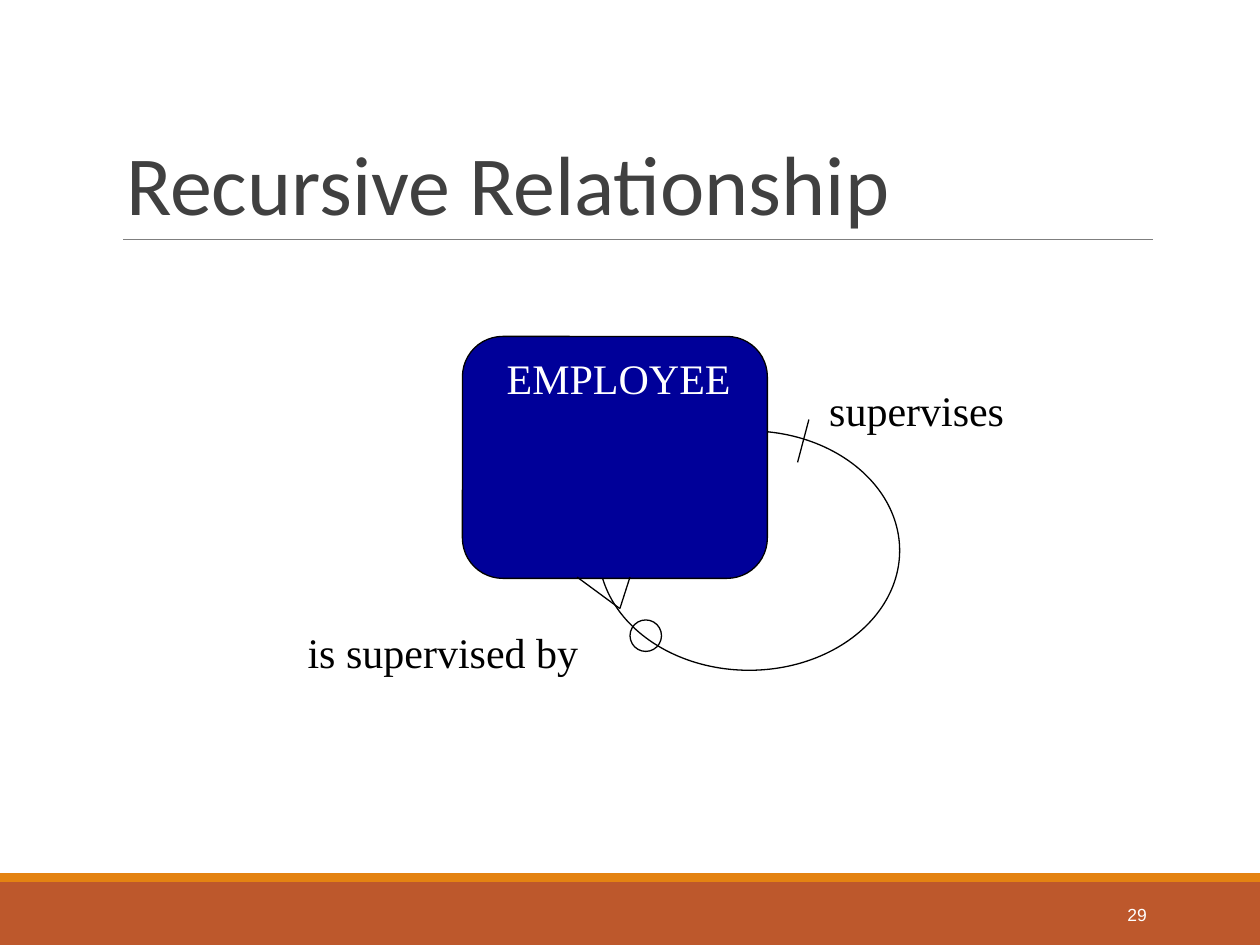
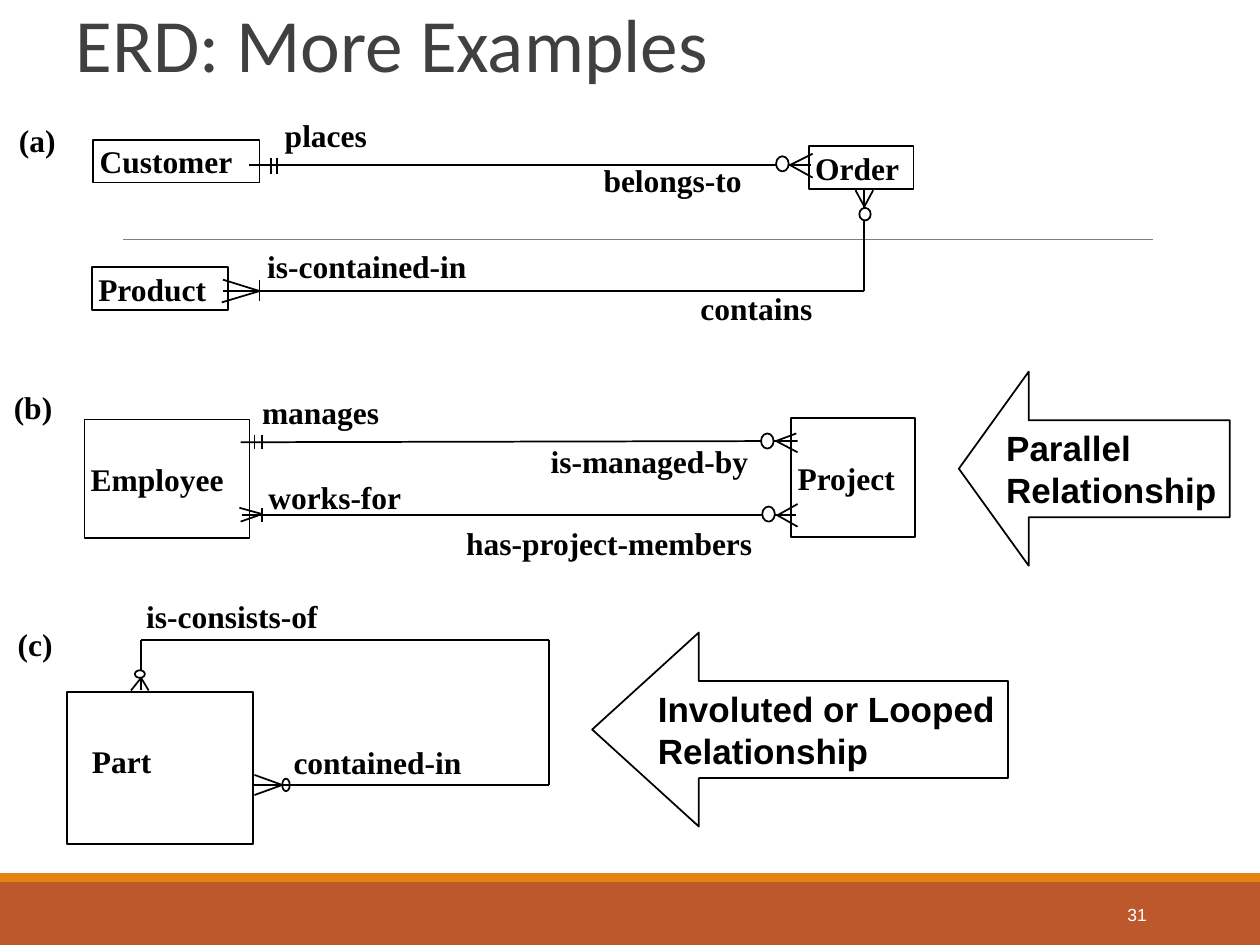
from itertools import pairwise

from lxml import etree
from pptx import Presentation
from pptx.dml.color import RGBColor
from pptx.enum.shapes import MSO_CONNECTOR, MSO_SHAPE
from pptx.enum.text import MSO_ANCHOR, MSO_AUTO_SIZE, PP_ALIGN
from pptx.oxml.ns import qn
from pptx.util import Inches, Pt

RECT, ROUNDED = MSO_SHAPE.RECTANGLE, MSO_SHAPE.ROUNDED_RECTANGLE
OVAL, LEFT_ARROW = MSO_SHAPE.OVAL, MSO_SHAPE.LEFT_ARROW
STRAIGHT = MSO_CONNECTOR.STRAIGHT
LEFT, CENTER, RIGHT = PP_ALIGN.LEFT, PP_ALIGN.CENTER, PP_ALIGN.RIGHT
TOP, MIDDLE, BOTTOM = MSO_ANCHOR.TOP, MSO_ANCHOR.MIDDLE, MSO_ANCHOR.BOTTOM

BLACK, WHITE, GRAY, TITLE_GRAY = "000000", "FFFFFF", "7F7F7F", "404040"
RUST, ORANGE, NAVY = "BD582C", "E48312", "000099"
SERIF, SANS, TITLE_FONT = "Times New Roman", "Arial", "Calibri"


def paint(shape, fill=None, line=None, width=1):
    """Set fill and outline from hex colours; None leaves that part empty."""
    if shape.shape_type is not None and hasattr(shape, "fill"):
        shape.shadow.inherit = False
        if fill:
            shape.fill.solid()
            shape.fill.fore_color.rgb = RGBColor.from_string(fill)
        else:
            shape.fill.background()
    else:
        etree.SubElement(shape.line._get_or_add_ln().getparent(), qn("a:effectLst"))
    if line:
        shape.line.color.rgb = RGBColor.from_string(line)
        shape.line.width = Pt(width)
    else:
        shape.line.fill.background()


def write(shape, text, size=18, font=SERIF, color=BLACK, bold=False, align=LEFT,
          anchor=TOP, inset=(0.05, 0.02), wrap=False, spacing=None):
    frame = shape.text_frame
    frame.text = text
    frame.auto_size = MSO_AUTO_SIZE.NONE
    frame.word_wrap = wrap
    frame.vertical_anchor = anchor
    frame.margin_left = frame.margin_right = Inches(inset[0])
    frame.margin_top = frame.margin_bottom = Inches(inset[1])
    for paragraph in frame.paragraphs:
        paragraph.alignment = align
        paragraph.line_spacing = spacing
        paragraph.font.size = Pt(size)
        paragraph.font.name = font
        paragraph.font.bold = bold
        paragraph.font.color.rgb = RGBColor.from_string(color)


prs = Presentation()
prs.slide_width, prs.slide_height = Inches(10), Inches(7.5)
WIDE_INSET = (0.1, 0.05)

# Title, rule, bands and number of both slides
slides = []
for title, size, title_box, number in [
    ("Recursive Relationship", 48, (0.9, 0.31, 8.25, 1.59), "29"),
    ("ERD: More Examples", 43, (0.5, 0.17, 9, 0.58), "31"),
]:
    slide = prs.slides.add_slide(prs.slide_layouts[5])
    slides.append(slide)
    heading = slide.shapes.title
    heading.left, heading.top, heading.width, heading.height = map(Inches, title_box)
    write(heading, title, size=size, font=TITLE_FONT, color=TITLE_GRAY, anchor=BOTTOM,
          inset=WIDE_INSET, wrap=True, spacing=0.85)
    for top, height, color in [(7, 0.5, RUST), (6.93, 0.07, ORANGE)]:
        band = slide.shapes.add_shape(RECT, 0, Inches(top), prs.slide_width, Inches(height))
        paint(band, fill=color)
    rule = slide.shapes.add_connector(STRAIGHT, *map(Inches, (0.98, 1.9, 9.15, 1.9)))
    paint(rule, line=GRAY, width=0.5)
    page = slide.shapes.add_textbox(*map(Inches, (8.12, 7.06, 1.08, 0.4)))
    write(page, number, size=10, font=SANS, color=WHITE, align=RIGHT, anchor=MIDDLE,
          inset=WIDE_INSET, wrap=True)

recursive, examples = (slide.shapes for slide in slides)

# Recursive relationship: the entity covers part of its loop
for kind, box, fill in [
    (OVAL, (4.75, 3.42, 2.39, 1.9), None),
    (ROUNDED, (3.67, 2.67, 2.42, 1.92), NAVY),
    (OVAL, (5, 4.92, 0.25, 0.25), None),
]:
    paint(recursive.add_shape(kind, *map(Inches, box)), fill=fill, line=BLACK, width=0.75)

for text, left, top, width, color in [
    ("EMPLOYEE", 3.92, 2.75, 1.98, WHITE),
    ("supervises", 6.48, 3, 1.59, BLACK),
    ("is supervised by", 2.34, 4.92, 2.35, BLACK),
]:
    label = recursive.add_textbox(*map(Inches, (left, top, width, 0.5)))
    write(label, text, size=24, color=color, align=CENTER, inset=WIDE_INSET)

# Entities of the three examples
for text, box in [
    ("Customer", (0.74, 1.11, 1.32, 0.34)),
    ("Order", (6.42, 1.16, 0.83, 0.34)),
    ("Product", (0.73, 2.12, 1.08, 0.34)),
    ("Employee", (0.67, 3.33, 1.31, 0.94)),
    ("Project", (6.28, 3.32, 0.98, 0.94)),
    ("", (0.53, 5.49, 1.48, 1.21)),
]:
    entity = examples.add_shape(RECT, *map(Inches, box))
    paint(entity, line=BLACK)
    if text:
        write(entity, text, bold=True, anchor=MIDDLE)

# Relationship lines, crow's feet and bars, each a path of points
recursive_paths = [
    [(4.58, 4.58), (4.92, 4.83), (5, 4.58)],
    [(6.33, 3.67), (6.42, 3.33)],
]
customer_order = [
    [(1.98, 1.31), (6.44, 1.31)],
    [(6.45, 1.22), (6.27, 1.31), (6.45, 1.41)],
    [(2.15, 1.25), (2.15, 1.38)],
    [(2.2, 1.25), (2.2, 1.38)],
]
product_order = [
    [(1.77, 2.31), (6.86, 2.31), (6.86, 1.51)],
    [(1.77, 2.22), (2.06, 2.31), (1.76, 2.4)],
    [(2.06, 2.22), (2.06, 2.39)],
    [(6.79, 1.51), (6.86, 1.64), (6.93, 1.51)],
]
manages = [
    [(1.91, 3.51), (6.33, 3.5)],
    [(6.32, 3.44), (6.16, 3.5), (6.33, 3.59)],
    [(2.02, 3.45), (2.02, 3.56)],
    [(2.08, 3.45), (2.08, 3.56)],
]
works_for = [
    [(1.92, 4.09), (6.32, 4.09)],
    [(6.33, 4), (6.17, 4.09), (6.33, 4.18)],
    [(1.9, 4.03), (2.08, 4.08), (1.91, 4.14)],
    [(2.08, 4.03), (2.08, 4.14)],
]
part_loop = [
    [(1.12, 5.48), (1.12, 5.08), (4.36, 5.08), (4.36, 6.23), (2.02, 6.23)],
    [(2.02, 6.15), (2.24, 6.23), (2.02, 6.31)],
    [(1.04, 5.48), (1.12, 5.38), (1.18, 5.48)],
]
example_paths = customer_order + product_order + manages + works_for + part_loop
for shapes, paths, width in [(recursive, recursive_paths, 0.75), (examples, example_paths, 1)]:
    for path in paths:
        for start, end in pairwise(path):
            segment = shapes.add_connector(STRAIGHT, *map(Inches, start + end))
            paint(segment, line=BLACK, width=width)

# Circles for optional ends
for box, fill in [
    ((6.16, 1.24, 0.1, 0.12), WHITE),
    ((6.82, 1.65, 0.09, 0.1), WHITE),
    ((6.04, 3.44, 0.1, 0.12), WHITE),
    ((6.05, 4.02, 0.1, 0.12), WHITE),
    ((1.07, 5.32, 0.08, 0.06), WHITE),
    ((2.24, 6.18, 0.06, 0.1), None),
]:
    paint(examples.add_shape(OVAL, *map(Inches, box)), fill=fill, line=BLACK)

for text, left, top, width in [
    ("(a)", 0.1, 0.94, 0.42),
    ("places", 2.21, 0.9, 0.88),
    ("belongs-to", 4.74, 1.26, 1.43),
    ("is-contained-in", 2.07, 1.94, 1.95),
    ("contains", 5.51, 2.27, 1.17),
    ("(b)", 0.06, 3.06, 0.43),
    ("manages", 2.03, 3.1, 1.24),
    ("is-managed-by", 4.32, 3.49, 1.94),
    ("works-for", 2.08, 3.77, 1.3),
    ("has-project-members", 3.65, 4.14, 2.77),
    ("(c)", 0.09, 4.94, 0.4),
    ("is-consists-of", 1.11, 4.72, 1.72),
    ("Part", 0.68, 5.87, 0.63),
    ("contained-in", 2.28, 5.88, 1.67),
]:
    label = examples.add_textbox(*map(Inches, (left, top, width, 0.34)))
    write(label, text, bold=True)

for text, left, top, width, head in [
    ("Involuted or Looped\nRelationship", 4.7, 5.02, 3.3, 0.55),
    ("Parallel\nRelationship", 7.61, 2.95, 2.15, 0.36),
]:
    callout = examples.add_shape(LEFT_ARROW, *map(Inches, (left, top, width, 1.54)))
    callout.adjustments[1] = head
    paint(callout, line=BLACK)
    write(callout, text, size=20, font=SANS, bold=True, inset=WIDE_INSET)

prs.save("out.pptx")
